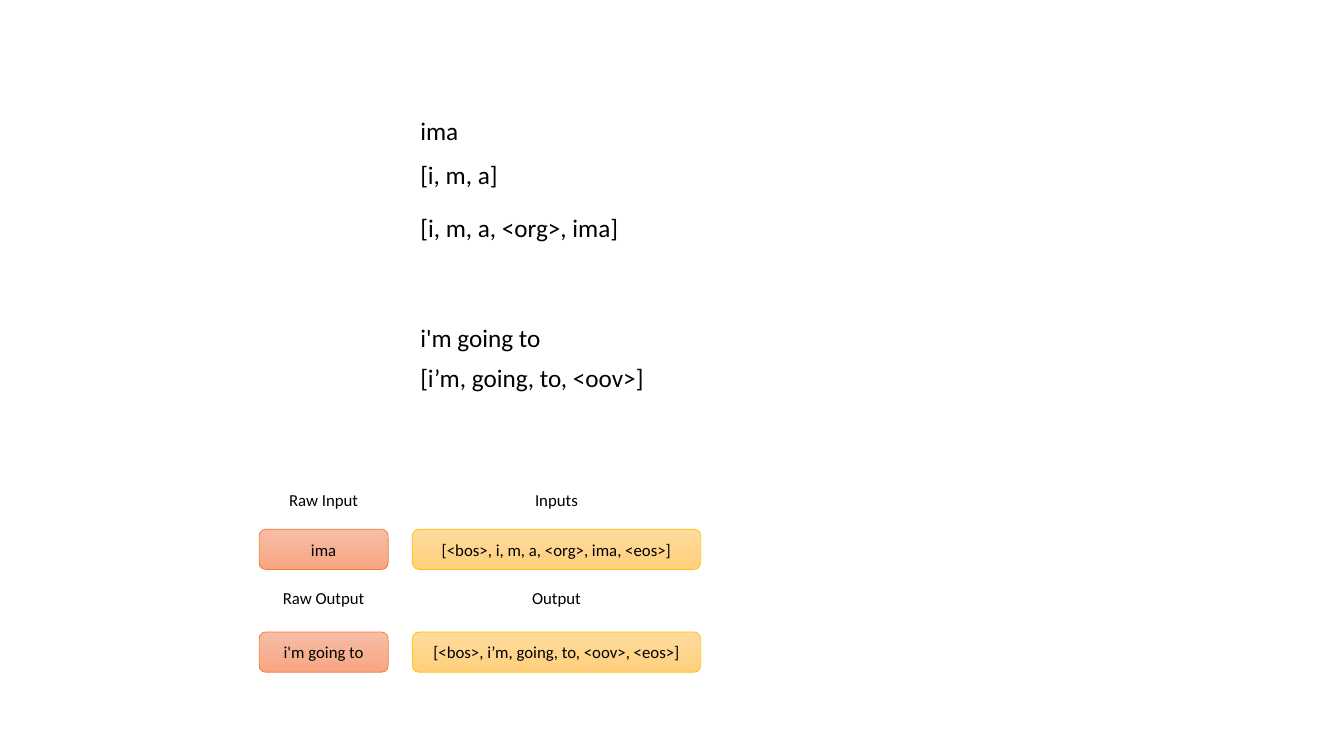
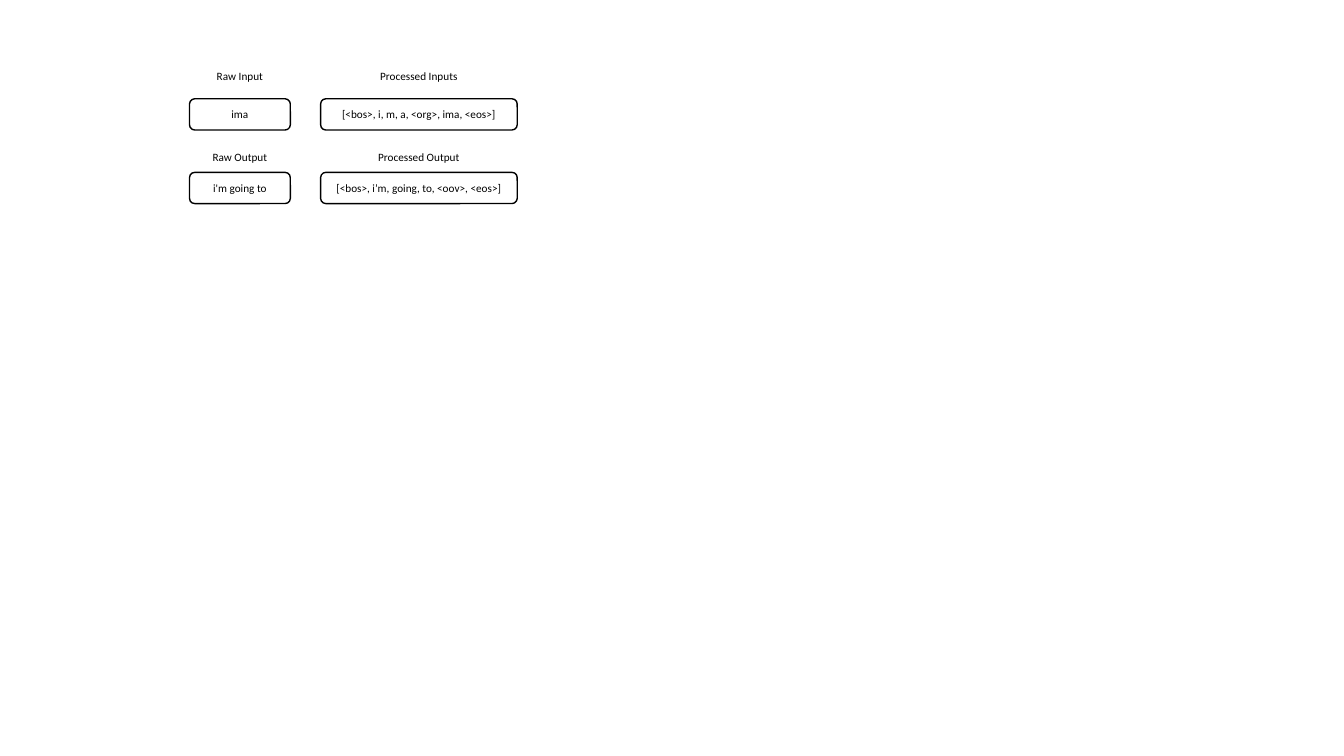
import pptx
import pptx.util
import pptx.dml.color
import pptx.enum.shapes
import pptx.enum.text

SLIDE_W, SLIDE_H = 13.33, 7.5
FONT, INK = "Calibri", "000000"
ALIGN = pptx.enum.text.PP_ALIGN
ANCHOR = pptx.enum.text.MSO_ANCHOR

# Box styles: fill stops (one is solid, two a gradient), line colour and width
ORANGE = {"fill": ["F7BDA5", "F8A582"], "line": "ED7D31", "width": 0.5}
GOLD = {"fill": ["FFDB9E", "FFD07C"], "line": "FFC000", "width": 0.5}
OUTLINE = {"fill": ["FFFFFF"], "line": INK, "width": 1}

# The example shown on both slides: raw text beside its token list
INPUT_ROW = ("ima", "[<bos>, i, m, a, <org>, ima, <eos>]")
OUTPUT_ROW = ("i'm going to", "[<bos>, i’m, going, to, <oov>, <eos>]")


def color(hex_text):
    return pptx.dml.color.RGBColor.from_string(hex_text)


def inches(*lengths):
    return [pptx.util.Inches(length) for length in lengths]


def write(sp, text, size, frame_format, align):
    tf = sp.text_frame
    for name, value in frame_format.items():
        setattr(tf, name, value)
    p = tf.paragraphs[0]
    p.alignment = align
    r = p.add_run()
    r.text = text
    for name, value in {"name": FONT, "size": pptx.util.Pt(size)}.items():
        setattr(r.font, name, value)
    r.font.color.rgb = color(INK)


def add_line_of_text(slide, box, text):
    sp = slide.shapes.add_textbox(*inches(*box))
    frame_format = {"word_wrap": True,
                    "auto_size": pptx.enum.text.MSO_AUTO_SIZE.SHAPE_TO_FIT_TEXT}
    write(sp, text, 18, frame_format, ALIGN.LEFT)


def paint(sp, style):
    if style is None:
        sp.fill.background()
        sp.line.fill.background()
        return
    stops = style["fill"]
    if len(stops) == 1:
        sp.fill.solid()
        sp.fill.fore_color.rgb = color(stops[0])
    else:
        sp.fill.gradient()
        sp.fill.gradient_angle = 270
        for stop, hex_text in zip(sp.fill.gradient_stops, stops):
            stop.color.rgb = color(hex_text)
    sp.line.color.rgb = color(style["line"])
    sp.line.width = pptx.util.Pt(style["width"])


def add_cell(slide, box, text, size, style):
    kind = pptx.enum.shapes.MSO_SHAPE.ROUNDED_RECTANGLE
    sp = slide.shapes.add_shape(kind, *inches(*box))
    sp.shadow.inherit = False
    paint(sp, style)
    frame_format = {"word_wrap": True, "vertical_anchor": ANCHOR.MIDDLE}
    write(sp, text, size, frame_format, ALIGN.CENTER)


def add_example_grid(slide, box, columns, rows, labels, size, styles):
    """columns: (offset, width); rows: (offset, height), label and value in turn."""
    left, top = box
    texts = [labels[0], INPUT_ROW, labels[1], OUTPUT_ROW]
    for i, ((dy, height), row) in enumerate(zip(rows, texts)):
        for (dx, width), text, style in zip(columns, row, styles):
            add_cell(slide, (left + dx, top + dy, width, height), text, size,
                     style if i % 2 else None)


def add_token_lines(slide, box, lines):
    left, top, height = box
    for dy, width, text in lines:
        add_line_of_text(slide, (left, top + dy, width, height), text)


def build_steps_slide(slide):
    # Stages of tokenising, as plain lines
    add_token_lines(slide, (4.07, 1.09, 0.4), [
        (0, 1.06, "ima"),
        (0.44, 1.06, "[i, m, a]"),
        (0.97, 2.19, "[i, m, a, <org>, ima]"),
        (2.06, 1.56, "i'm going to"),
        (2.46, 2.86, "[i’m, going, to, <oov>]"),
    ])
    # Coloured example
    add_example_grid(
        slide, (2.57, 4.76),
        columns=[(0, 1.28), (1.52, 2.86)],
        rows=[(dy, 0.4) for dy in (0, 0.49, 0.97, 1.51)],
        labels=[("Raw Input", "Inputs"), ("Raw Output", "Output")],
        size=12, styles=[ORANGE, GOLD])


def build_outline_slide(slide):
    # Outlined example
    add_example_grid(
        slide, (1.88, 0.58),
        columns=[(0, 1), (1.3, 1.95)],
        rows=[(0, 0.34), (0.4, 0.31), (0.82, 0.31), (1.13, 0.31)],
        labels=[("Raw Input", "Processed Inputs"),
                ("Raw Output", "Processed Output")],
        size=8, styles=[OUTLINE, OUTLINE])


prs = pptx.Presentation()
prs.slide_width, prs.slide_height = inches(SLIDE_W, SLIDE_H)
blank = prs.slide_layouts[6]
for build in (build_steps_slide, build_outline_slide):
    build(prs.slides.add_slide(blank))
prs.save("out.pptx")
